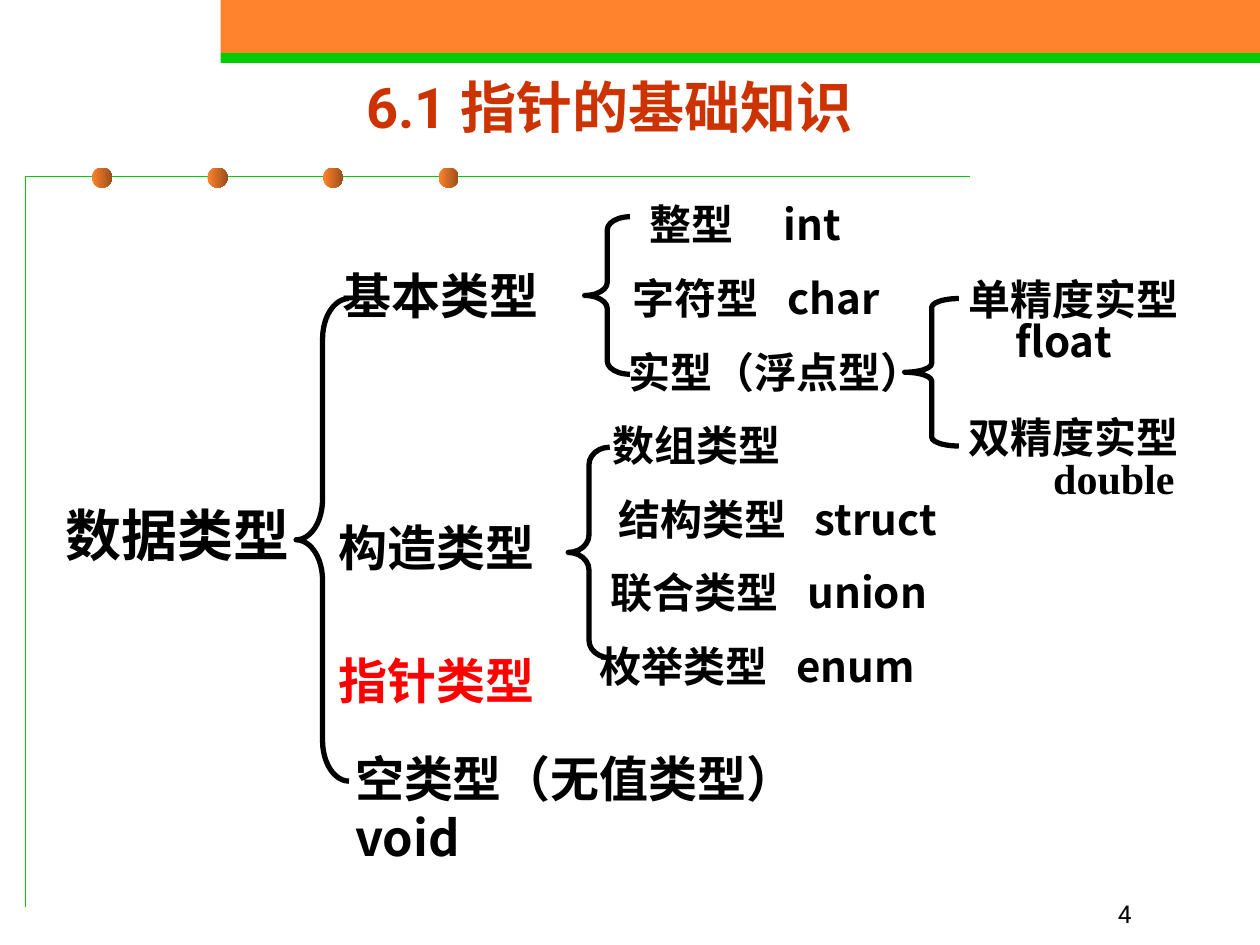
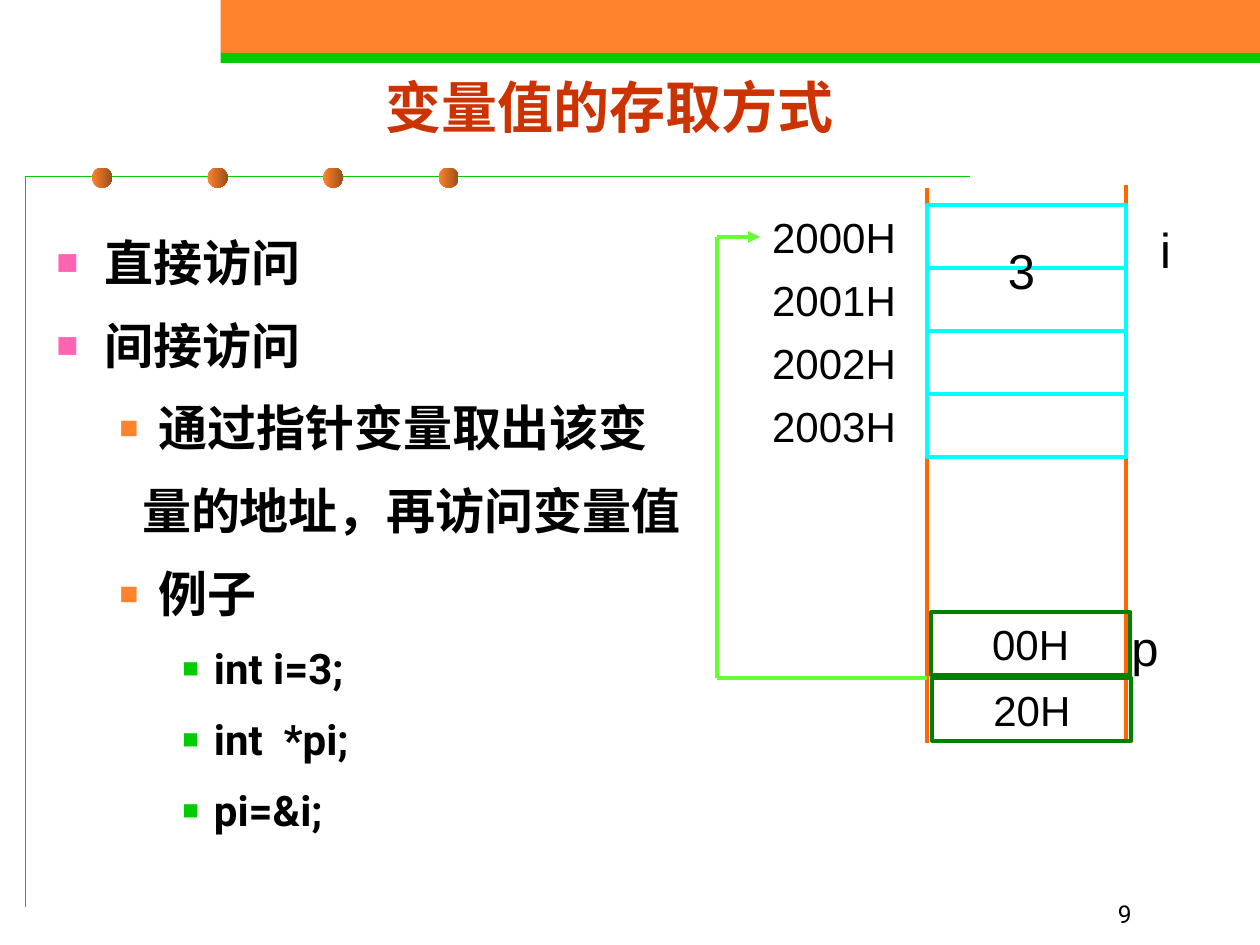
from dataclasses import dataclass

from lxml.etree import SubElement
from pptx import Presentation
from pptx.dml.color import RGBColor
from pptx.enum.shapes import MSO_CONNECTOR, MSO_SHAPE
from pptx.enum.text import MSO_ANCHOR, PP_ALIGN
from pptx.oxml.ns import qn
from pptx.util import Inches, Pt

# Grid: 100 columns by 75 rows on a 10 x 7.5 inch slide
SLIDE_W, SLIDE_H = Inches(10), Inches(7.5)
COL, ROW = SLIDE_W / 100, SLIDE_H / 75

ORANGE, GREEN, PINK, TITLE_RED = "FF822D", "00CC00", "FF63B1", "CC3300"
BLACK, RED = "000000", "FF0000"
RAIL, CELL, POINTER_CELL, ARROW = "FF6600", "00FFFF", "008000", "66FF33"
CJK, SANS, SERIF, PLAIN = "Noto Sans CJK SC", "Roboto", "Times New Roman", "Arial"


@dataclass
class Box:
    x: float
    y: float
    w: float
    h: float

    def inner(self, x, y, w, h):
        return Box(self.x + x, self.y + y, w, h)

    def emu(self):
        return [round(v * unit) for v, unit in
                zip((self.x, self.y, self.w, self.h), (COL, ROW, COL, ROW))]


def rgb(hex_code):
    return RGBColor.from_string(hex_code)


def style_paragraph(paragraph, text, font, size, color=BLACK, bold=False, **layout):
    for name, value in layout.items():
        setattr(paragraph, name, value)
    # A line break splits the text into runs
    for i, line in enumerate(text.split("\v")):
        if i:
            paragraph.add_line_break()
        run = paragraph.add_run()
        run.text = line
        for name, value in dict(name=font, size=Pt(size), bold=bold).items():
            setattr(run.font, name, value)
        run.font.color.rgb = rgb(color)
        SubElement(run._r.get_or_add_rPr(), qn("a:ea"), typeface=CJK)


def indent(paragraph, left, hanging=0):
    properties = paragraph._p.get_or_add_pPr()
    properties.set("marL", str(Inches(left)))
    properties.set("indent", str(-Inches(hanging)))
    return properties


def add_bullet(properties, color, percent):
    bullet_color = SubElement(properties, qn("a:buClr"))
    SubElement(bullet_color, qn("a:srgbClr"), val=color)
    SubElement(properties, qn("a:buSzPct"), val=str(percent * 1000))
    SubElement(properties, qn("a:buFont"), typeface=PLAIN)
    SubElement(properties, qn("a:buChar"), char="■")


def add_tab(properties, position):
    tabs = SubElement(properties, qn("a:tabLst"))
    SubElement(tabs, qn("a:tab"), pos=str(Inches(position)), algn="l")


def add_frame(slide, box, anchor=MSO_ANCHOR.TOP):
    frame = slide.shapes.add_textbox(*box.emu()).text_frame
    frame.word_wrap, frame.vertical_anchor = True, anchor
    return frame


def add_label(slide, box, text, font, size, tab=None, **style):
    paragraph = add_frame(slide, box).paragraphs[0]
    if tab:
        add_tab(paragraph._p.get_or_add_pPr(), tab)
    style_paragraph(paragraph, text, font, size, **style)


def add_figure(slide, kind, box, fill=None, line=None, width=2.25):
    figure = slide.shapes.add_shape(kind, *box.emu())
    figure.shadow.inherit = False
    if fill:
        figure.fill.solid()
        figure.fill.fore_color.rgb = rgb(fill)
    else:
        figure.fill.background()
    if line:
        figure.line.color.rgb, figure.line.width = rgb(line), Pt(width)
    else:
        figure.line.fill.background()
    return figure


def add_line(slide, start, end, color, arrow=False):
    ends = [round(v * unit) for v, unit in zip(start + end, (COL, ROW) * 2)]
    line = slide.shapes.add_connector(MSO_CONNECTOR.STRAIGHT, *ends)
    line.line.color.rgb, line.line.width = rgb(color), Pt(2.25)
    properties = line._element.spPr
    if arrow:
        SubElement(properties.get_or_add_ln(), qn("a:tailEnd"), type="triangle")
    SubElement(properties, qn("a:effectLst"))


# Shared page: bands, corner rule with dots, title, number
def add_page(deck, title, number):
    slide = deck.slides.add_slide(deck.slide_layouts[5])
    add_figure(slide, MSO_SHAPE.RECTANGLE, Box(17.5, 0, 82.5, 4.2), ORANGE)
    add_figure(slide, MSO_SHAPE.RECTANGLE, Box(17.5, 4.2, 82.5, 0.8), GREEN)

    builder = slide.shapes.build_freeform(1.7, 72.5, scale=(COL, ROW))
    builder.add_line_segments([(1.7, 14.1), (76.8, 14.1)], close=False)
    corner = builder.convert_to_shape()
    corner.shadow.inherit = False
    corner.fill.background()
    corner.line.color.rgb, corner.line.width = rgb(GREEN), Pt(0.75)

    for i in range(4):
        dot = add_figure(slide, MSO_SHAPE.OVAL, Box(7.3 + 9.17 * i, 13.3, 1.6, 1.6), ORANGE)
        dot.fill.gradient()
        dot.fill.gradient_angle = 0
        for stop, color in zip(dot.fill.gradient_stops, (ORANGE, "9B4F1B")):
            stop.color.rgb = rgb(color)

    heading = slide.shapes.title
    heading.left, heading.top, heading.width, heading.height = Box(5.1, 5.2, 86.6, 6.5).emu()
    heading.text_frame.vertical_anchor = MSO_ANCHOR.MIDDLE
    style_paragraph(heading.text_frame.paragraphs[0], title, SANS, 32, TITLE_RED, True,
                    alignment=PP_ALIGN.CENTER)
    page = add_frame(slide, Box(70, 69.2, 20.8, 5), MSO_ANCHOR.BOTTOM)
    style_paragraph(page.paragraphs[0], str(number), SANS, 14, alignment=PP_ALIGN.RIGHT)
    return slide


def add_brace(slide, box, curve):
    brace = add_figure(slide, MSO_SHAPE.LEFT_BRACE, box, line=BLACK, width=3)
    brace.adjustments[0] = curve / min(box.w, box.h)


# One branch: a brace and its evenly spaced members (column, text, tab)
def add_branch(slide, box, brace, curve, members):
    add_brace(slide, box.inner(*brace), curve)
    for i, (column, text, tab) in enumerate(members):
        add_label(slide, box.inner(column, 5.85 * i, 29, 5), text, CJK, 24, tab, bold=True)


# Single and double precision, each with its keyword below
def add_precisions(slide, box):
    add_brace(slide, box.inner(4.2, 2, 4.3, 11.7), 0.7)
    for row, name, keyword, font, left in ((0, "单精度实型", "float", CJK, 0.37),
                                           (10.9, "双精度实型", "double", SERIF, 0.67)):
        frame = add_frame(slide, box.inner(8.3, row, 24.1, 7.8))
        style_paragraph(frame.paragraphs[0], name, font, 24, bold=True, line_spacing=0.9)
        second = frame.add_paragraph()
        indent(second, left)
        style_paragraph(second, keyword, font, 24, bold=True, line_spacing=0.8)


def add_type_tree(slide, box):
    add_label(slide, box.inner(0, 23.9, 20.3, 6.4), "数据类型", SERIF, 32, bold=True)
    add_brace(slide, box.inner(19.3, 8.4, 4.2, 38.3), 3.2)
    for column, row, width, text, color in ((22, 5.3, 18, "基本类型", BLACK),
                                            (21.7, 25.3, 18, "构造类型", BLACK),
                                            (21.7, 35.8, 18, "指针类型", RED),
                                            (23, 43.6, 47.9, "空类型（无值类型）\vvoid", BLACK)):
        add_label(slide, box.inner(column, row, width, 5.7), text, CJK, 28,
                  color=color, bold=True)
    add_branch(slide, box.inner(42.2, 0, 30, 17), (0, 1.9, 3.6, 12.5), 1.04,
               [(4.2, "整型\tint", 1.06), (2.8, "字符型\tchar", 1.23),
                (2.5, "实型（浮点型）", None)])
    add_branch(slide, box.inner(40.9, 17.5, 30, 23), (0, 2.7, 3.3, 16.7), 1.39,
               [(2.5, "数组类型", None), (3, "结构类型\tstruct", 1.56),
                (2.4, "联合类型\tunion", 1.56), (1.5, "枚举类型\tenum", 1.56)])
    add_precisions(slide, box.inner(63.4, 6.4, 32.4, 19))


# Bulleted access modes; levels hold margin, hanging, size, space, bullet
def add_access_list(slide, box):
    levels = [(0.38, 0.38, 28, 7, PINK, 75), (0.81, 0.31, 28, 7, ORANGE, 65),
              (1.25, 0.25, 24, 6, GREEN, 65), (0.68, 0, 28, 7, None, 0)]
    items = [(0, "直接访问"), (0, "间接访问"), (1, "通过指针变量取出该变"),
             (3, "量的地址，再访问变量值"), (1, "例子"),
             (2, "int i=3;"), (2, "int  *pi;"), (2, "pi=&i;")]
    frame = add_frame(slide, box)
    for i, (level, text) in enumerate(items):
        margin, hanging, size, space, color, percent = levels[level]
        paragraph = frame.add_paragraph() if i else frame.paragraphs[0]
        properties = indent(paragraph, margin, hanging)
        if color:
            add_bullet(properties, color, percent)
        style_paragraph(paragraph, text, SANS, size, bold=True, line_spacing=1.2,
                        space_before=Pt(space if i else 0))


# Memory column with addresses, pointer cells and the arrow back to i
def add_memory(slide, box):
    left, cell_w, cell_h = 16.7, 15.8, 5
    for column, row in ((left, 0.2), (left + cell_w, 0)):
        rail = box.inner(column, row, 0, 44.1)
        add_line(slide, (rail.x, rail.y), (rail.x, rail.y + rail.h), RAIL)
    for i in range(4):
        row = 1.6 + cell_h * i
        add_figure(slide, MSO_SHAPE.RECTANGLE, box.inner(left, row, cell_w, cell_h), line=CELL)
        add_label(slide, box.inner(3.4, row, 12, cell_h), f"200{i}H", PLAIN, 24)
    for i, value in enumerate(("00H", "20H")):
        cell = add_figure(slide, MSO_SHAPE.RECTANGLE,
                          box.inner(left + 0.3 + 0.1 * i, 33.9 + 5.2 * i, cell_w, cell_h),
                          line=POINTER_CELL)
        cell.text_frame.vertical_anchor = MSO_ANCHOR.MIDDLE
        style_paragraph(cell.text_frame.paragraphs[0], value, PLAIN, 24,
                        alignment=PP_ALIGN.CENTER)

    route = [(box.x + x, box.y + y) for x, y in ((left, 39.1), (0, 39.1), (0, 4.1), (3.4, 4.1))]
    for i, (start, end) in enumerate(zip(route, route[1:])):
        add_line(slide, start, end, ARROW, arrow=i == 2)
    for column, row, text in ((31.9, 33.8, "p"), (34.2, 2.2, "i"), (22.1, 3.9, "3")):
        add_label(slide, box.inner(column, row, 4.5, 5.7), text, PLAIN, 28)


def main():
    deck = Presentation()
    deck.slide_width, deck.slide_height = SLIDE_W, SLIDE_H
    types = add_page(deck, "6.1 指针的基础知识", 4)
    add_type_tree(types, Box(4.2, 15.3, 95.8, 54))
    access = add_page(deck, "变量值的存取方式", 9)
    add_access_list(access, Box(3.5, 17, 53, 51.2))
    add_memory(access, Box(56.9, 14.7, 40, 45))
    deck.save("out.pptx")


if __name__ == "__main__":
    main()
